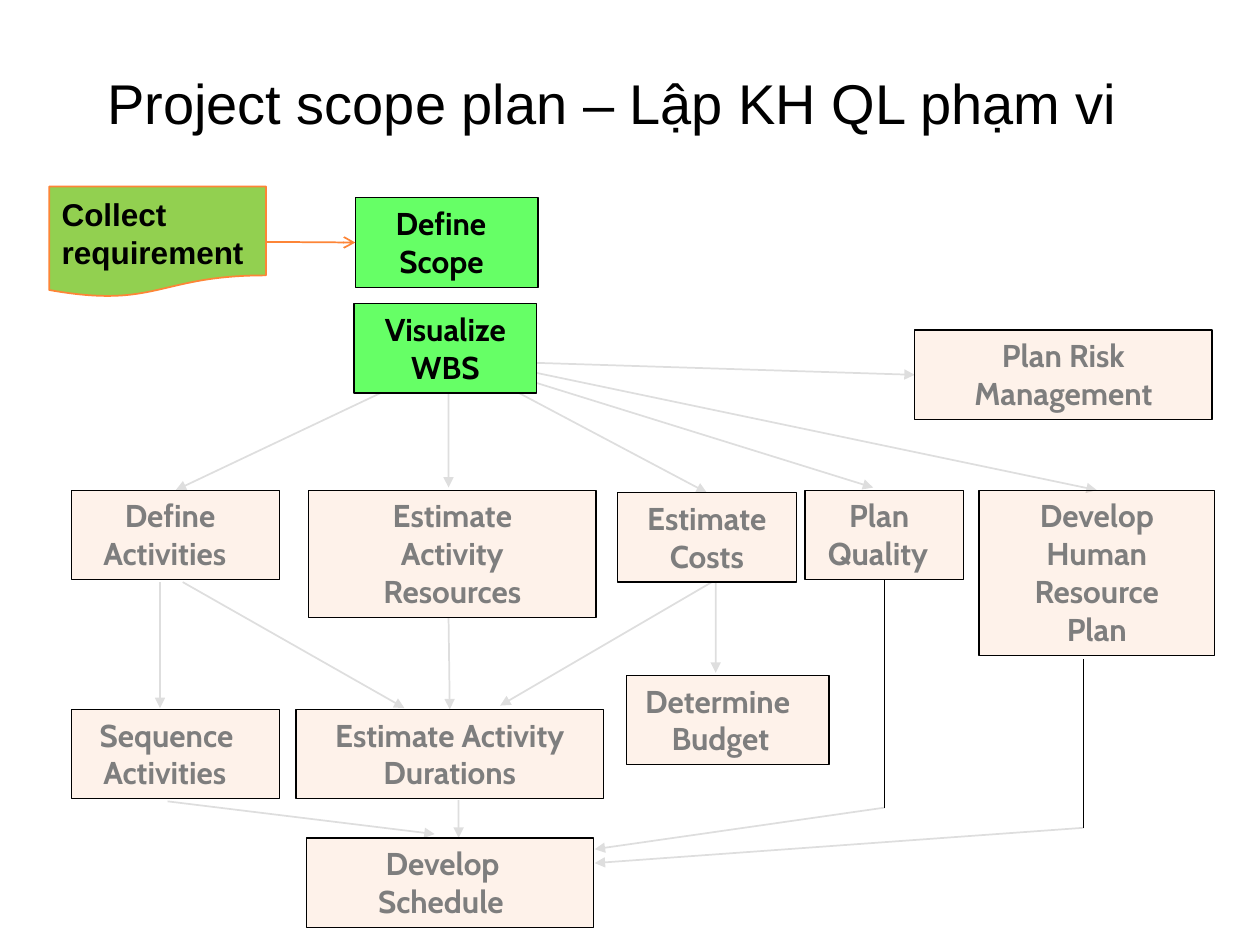
import pptx
import pptx.dml.color
import pptx.enum.shapes
import pptx.enum.text
import pptx.oxml.ns
import pptx.util
from lxml import etree

Inches = pptx.util.Inches
Pt = pptx.util.Pt
qn = pptx.oxml.ns.qn
MSO_SHAPE = pptx.enum.shapes.MSO_SHAPE
PP_ALIGN = pptx.enum.text.PP_ALIGN

BLACK, GREY, ORANGE = "000000", "7E7E7E", "FD8537"
GREEN, LIME = "66FF66", "92D050"


def color(value):
    return pptx.dml.color.RGBColor.from_string(value)


def set_alpha(parent, percent):
    clr = parent.find(qn("a:solidFill"))[0]
    etree.SubElement(clr, qn("a:alpha")).set("val", str(percent * 1000))


class Deck:
    font = "Cabin"
    size = 18
    outline = 0.75
    row_height = 0.71

    def __init__(self, width, height):
        self.prs = pptx.Presentation()
        self.prs.slide_width = Inches(width)
        self.prs.slide_height = Inches(height)
        self.slide = self.prs.slides.add_slide(self.prs.slide_layouts[6])

    def text(self, sp, lines, insets, ink, font, size, bold, indents=None):
        tf = sp.text_frame
        tf.word_wrap = True
        tf.vertical_anchor = pptx.enum.text.MSO_ANCHOR.TOP
        tf.margin_left, tf.margin_top, tf.margin_right, tf.margin_bottom = map(Inches, insets)
        for i, line in enumerate(lines):
            p = tf.paragraphs[0] if i == 0 else tf.add_paragraph()
            p.text = line
            p.alignment = PP_ALIGN.CENTER
            if indents:
                p.alignment = PP_ALIGN.LEFT
                left, first = indents[i]
                pPr = p._p.get_or_add_pPr()
                pPr.set("marL", str(Inches(left)))
                pPr.set("indent", str(Inches(first)))
            p.font.name = font
            p.font.size = Pt(size)
            p.font.bold = bold
            p.font.color.rgb = color(ink)

    def title(self, text, left, top, width, height):
        sp = self.slide.shapes.add_textbox(*map(Inches, (left, top, width, height)))
        self.text(sp, [text], (0, 0, 0, 0), BLACK, "Arial", 32, False, [(0, 0)])

    def shape(self, kind, left, top, width, height, fill, line, weight):
        sp = self.slide.shapes.add_shape(kind, *map(Inches, (left, top, width, height)))
        sp.shadow.inherit = False
        sp.fill.solid()
        sp.fill.fore_color.rgb = color(fill)
        sp.line.color.rgb = color(line)
        sp.line.width = Pt(weight)
        return sp

    def box(self, lines, left, top, width, height=row_height, active=False, indents=None, side=0):
        sp = self.shape(MSO_SHAPE.RECTANGLE, left, top, width, height,
                        GREEN if active else ORANGE, BLACK, self.outline)
        if not active:
            set_alpha(sp._element.spPr, 10)
        self.text(sp, lines, (side, 0.05, side, 0), BLACK if active else GREY,
                  self.font, self.size, True, indents)
        return sp

    def document(self, text, left, top, width, height):
        sp = self.shape(MSO_SHAPE.FLOWCHART_DOCUMENT, left, top, width, height, LIME, ORANGE, 1)
        self.text(sp, [text], (0.1, 0.07, 0.1, 0), BLACK, "Arial", self.size, True, [(0, 0)])

    def line(self, start, end, begin=None, finish=None, ink=BLACK, weight=1, alpha=None, head=None):
        sp = self.slide.shapes.add_connector(pptx.enum.shapes.MSO_CONNECTOR.STRAIGHT,
                                             *map(Inches, (*start, *end)))
        if begin:
            sp.begin_connect(*begin)
        if finish:
            sp.end_connect(*finish)
        sp.line.color.rgb = color(ink)
        sp.line.width = Pt(weight)
        spPr = sp._element.spPr
        ln = spPr.find(qn("a:ln"))
        if alpha:
            set_alpha(ln, alpha)
        if head:
            etree.SubElement(ln, qn("a:tailEnd")).set("type", head)
        etree.SubElement(spPr, qn("a:effectLst"))

    def faint_arrow(self, start, end, finish=None):
        self.line(start, end, finish=finish, alpha=13, head="triangle")


def main():
    deck = Deck(10, 7.5)
    deck.title("Project scope plan – Lập KH QL phạm vi", 0.85, 0.54, 8.57, 0.52)

    row1, row2 = 3.89, 5.63
    activities = deck.box(["Define Activities"], 0.57, row1, 1.65, indents=[(0.25, 0.17)])
    durations = deck.box(["Estimate Activity", "Durations"], 2.35, row2, 2.44)
    deck.box(["Develop", "Schedule"], 2.43, 6.65, 2.28, indents=[(0.63, 0), (0.57, 0)])
    risk = deck.box(["Plan Risk", "Management"], 7.26, 2.62, 2.36)
    deck.box(["Estimate Activity Resources"], 2.45, row1, 2.28, 1.01, side=0.48)
    deck.box(["Sequence", "Activities"], 0.57, row2, 1.65, indents=[(0.22, 0), (0.25, 0)])
    costs = deck.box(["Estimate", "Costs"], 4.9, 3.91, 1.42)
    staff = deck.box(["Develop Human Resource Plan"], 7.77, row1, 1.87, 1.31, side=0.36)
    quality = deck.box(["Plan Quality"], 6.39, row1, 1.26, indents=[(0.18, 0.17)])
    deck.box(["Determine Budget"], 4.97, 5.36, 1.61, indents=[(0.36, -0.21)])
    scope = deck.box(["Define Scope"], 2.82, 1.57, 1.45, active=True, indents=[(0.35, -0.03)])
    deck.box(["Visualize", "WBS"], 2.81, 2.41, 1.45, active=True)
    deck.document("Collect requirement", 0.39, 1.48, 1.72, 0.88)

    for start, end, finish in [
        ((3.02, 3.12), (1.43, 3.87), (activities, 0)),
        ((3.56, 3.12), (3.56, 3.87), None),
        ((4.12, 3.12), (5.57, 3.91), (costs, 0)),
        ((4.26, 3.04), (6.93, 3.87), None),
        ((4.26, 2.96), (8.68, 3.87), (staff, 0)),
        ((4.26, 2.88), (7.26, 2.99), (risk, 1)),
        ((1.27, 4.62), (1.27, 5.62), None),
        ((1.45, 4.62), (3.21, 5.62), None),
        ((3.56, 4.9), (3.56, 5.62), (durations, 0)),
        ((5.65, 4.62), (3.97, 5.6), None),
        ((5.68, 4.62), (5.68, 5.34), None),
        ((1.33, 6.36), (3.45, 6.62), None),
        ((3.64, 6.35), (3.64, 6.65), None),
        ((7.02, 6.41), (4.72, 6.74), None),
        ((8.6, 6.57), (4.72, 6.85), None),
    ]:
        deck.faint_arrow(start, end, finish)

    deck.line((7.02, 4.6), (7.02, 6.41), begin=(quality, 2), weight=deck.outline)
    deck.line((8.6, 5.23), (8.6, 6.57), weight=deck.outline)
    deck.line((2.11, 1.92), (2.82, 1.93), finish=(scope, 1), ink=ORANGE, head="arrow")

    deck.prs.save("out.pptx")


if __name__ == "__main__":
    main()
